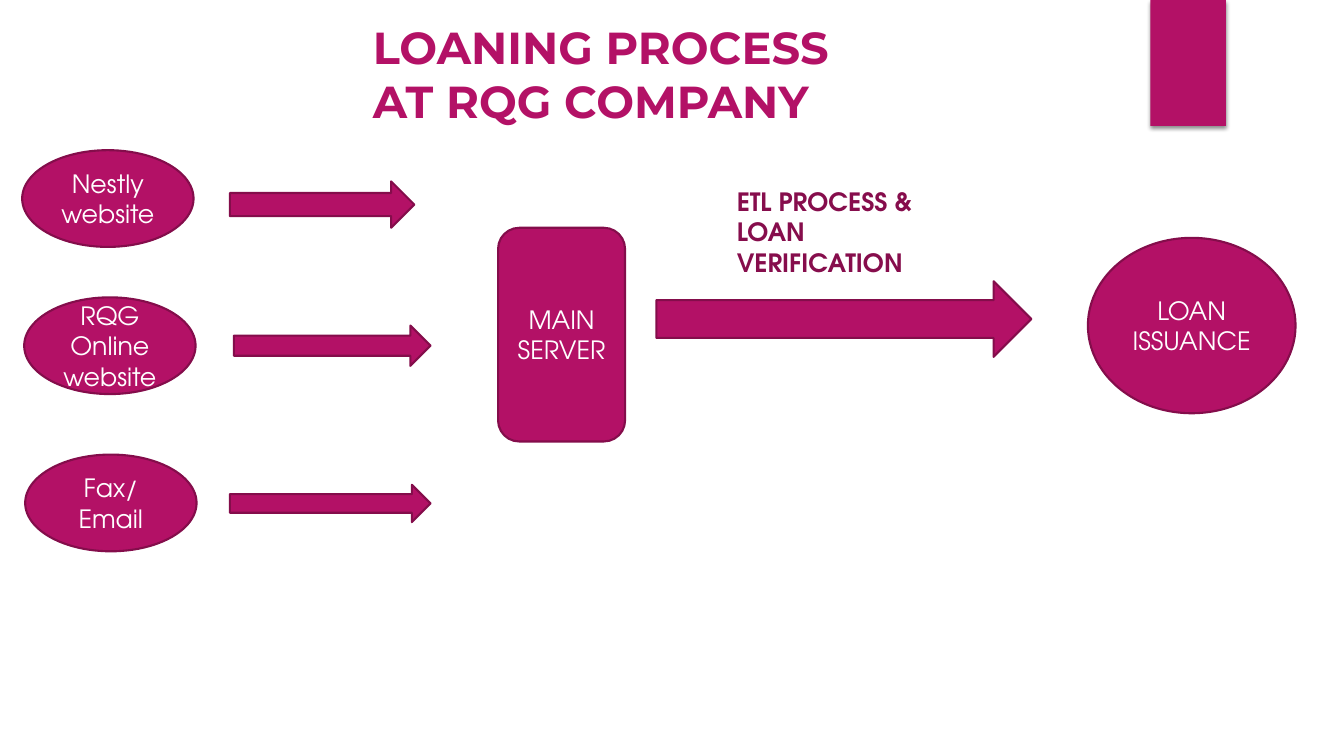
from pptx import Presentation
from pptx.dml.color import RGBColor
from pptx.enum.shapes import MSO_SHAPE as Kind
from pptx.enum.text import MSO_ANCHOR as Anchor, PP_ALIGN as Align
from pptx.oxml import parse_xml
from pptx.oxml.ns import nsdecls
from pptx.util import Inches, Pt

THEME = {
    "pink": "B31166", "edge": "840D4B", "label": "860D4C", "white": "FFFFFF",
    "head": "Montserrat", "body": "TeX Gyre Adventor",
    "big": 32, "small": 18, "line": 1.5,
}

SOURCES = [
    ("Nestly website", (0.22, 1.49), (2.28, 1.8, 1.83, 0.46)),
    ("RQG Online website", (0.24, 2.95), (2.32, 3.23, 1.95, 0.4)),
    ("Fax/ Email", (0.25, 4.51), (2.28, 4.81, 1.99, 0.37)),
]
OVAL = (1.7, 0.96)
STAGES = [
    (Kind.ROUNDED_RECTANGLE, (4.94, 2.26, 1.26, 2.12), "MAIN SERVER"),
    (Kind.RIGHT_ARROW, (6.51, 2.79, 3.72, 0.75), ""),
    (Kind.OVAL, (10.79, 2.36, 2.06, 1.74), "LOAN ISSUANCE"),
]
NOTES = [
    ("ETL PROCESS & LOAN VERIFICATION", (7.21, 1.8, 2.4, 1.01), "body", "small", "label"),
    ("LOANING PROCESS AT RQG COMPANY", (3.6, 0.15, 5.01, 1.18), "head", "big", "pink"),
]
RIBBON = (11.41, 0, 0.75, 1.25)
SHADOW = (
    f'<a:effectLst {nsdecls("a")}>'
    f'<a:outerShdw blurRad="{Pt(3)}" dist="{Pt(2)}" dir="5400000" rotWithShape="0">'
    '<a:srgbClr val="000000"><a:alpha val="45000"/></a:srgbClr>'
    '</a:outerShdw></a:effectLst>'
)


def color(name):
    return RGBColor.from_string(THEME[name])


def write(frame, text, face, size, tint, bold=False):
    frame.word_wrap = True
    para = frame.paragraphs[0]
    para.text = text
    font = para.font
    font.name = THEME[face]
    font.size = Pt(THEME[size])
    font.bold = bold
    font.color.rgb = color(tint)
    return para


def draw(slide, kind, box, text=""):
    shape = slide.shapes.add_shape(kind, *map(Inches, box))
    shape.shadow.inherit = False
    shape.fill.solid()
    shape.fill.fore_color.rgb = color("pink")
    shape.line.color.rgb = color("edge")
    shape.line.width = Pt(THEME["line"])
    if text:
        shape.text_frame.vertical_anchor = Anchor.MIDDLE
        para = write(shape.text_frame, text, "body", "small", "white")
        para.alignment = Align.CENTER
    return shape


def main():
    deck = Presentation()
    deck.slide_width, deck.slide_height = Inches(13.33), Inches(7.5)
    slide = deck.slides.add_slide(deck.slide_layouts[6])

    ribbon = draw(slide, Kind.RECTANGLE, RIBBON)
    ribbon.line.fill.background()
    ribbon.shadow.inherit = True
    ribbon.element.spPr.append(parse_xml(SHADOW))

    for text, spot, arrow in SOURCES:
        draw(slide, Kind.OVAL, spot + OVAL, text)
        draw(slide, Kind.RIGHT_ARROW, arrow)
    for kind, box, text in STAGES:
        draw(slide, kind, box, text)
    for text, box, face, size, tint in NOTES:
        note = slide.shapes.add_textbox(*map(Inches, box))
        write(note.text_frame, text, face, size, tint, bold=True)

    deck.save("out.pptx")


if __name__ == "__main__":
    main()
